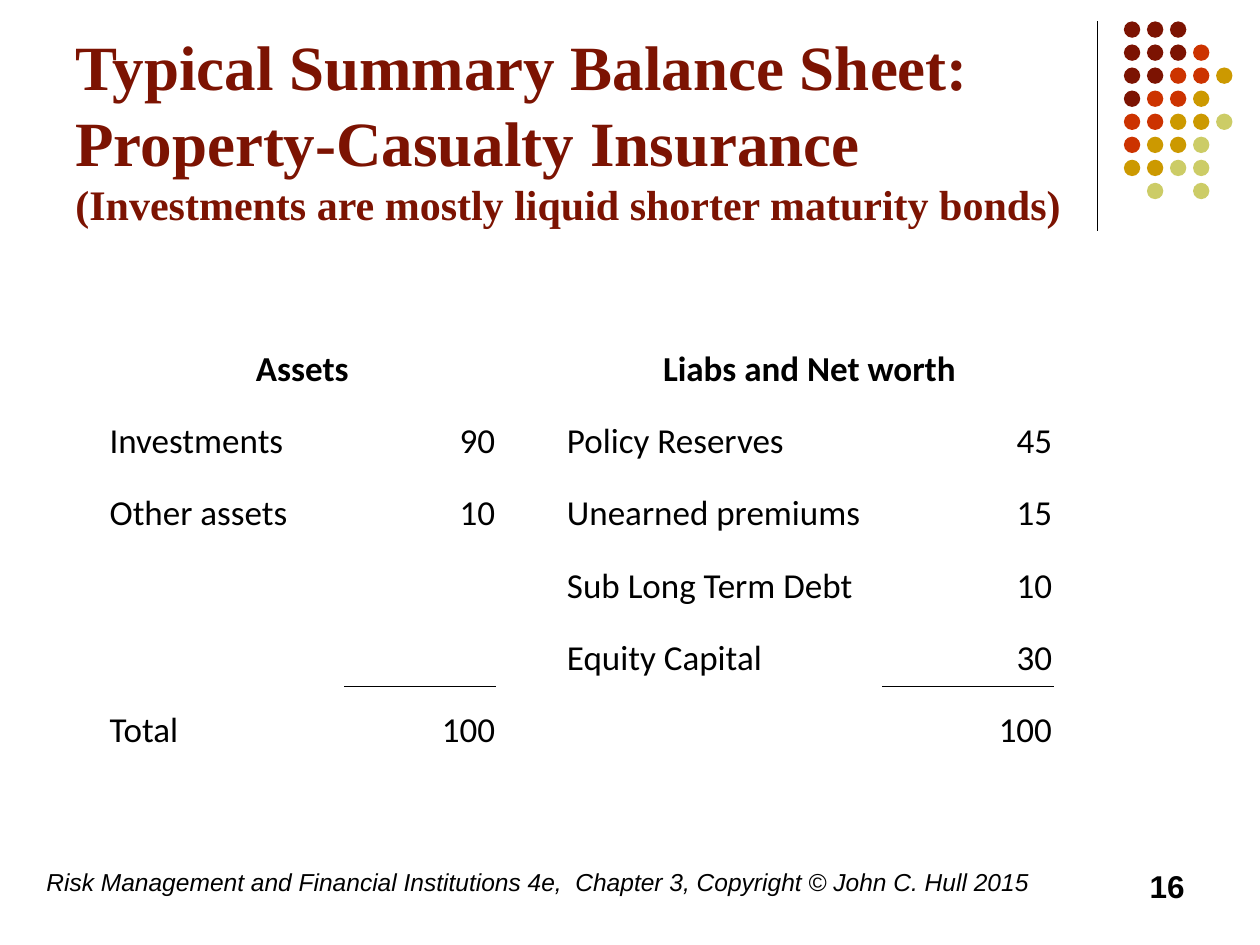
from lxml import etree
from pptx import Presentation
from pptx.dml.color import RGBColor
from pptx.enum.shapes import MSO_CONNECTOR, MSO_SHAPE
from pptx.enum.text import MSO_ANCHOR as Anchor, PP_ALIGN as Align
from pptx.oxml import parse_xml
from pptx.oxml.ns import nsdecls, qn
from pptx.util import Inches, Pt

BLACK = RGBColor(0x00, 0x00, 0x00)
MAROON = RGBColor(0x7C, 0x13, 0x02)
RED = RGBColor(0xCC, 0x33, 0x00)
GOLD = RGBColor(0xCC, 0x99, 0x00)
OLIVE = RGBColor(0xCC, 0xCC, 0x66)


def add_run(para, text, font, size, color=BLACK, bold=False, italic=False):
    run = para.add_run()
    run.text = text
    run.font.name = font
    run.font.size = Pt(size)
    run.font.color.rgb = color
    run.font.bold = bold
    run.font.italic = italic


def add_box(left, top, width, height):
    """Add a wrapping text box and return its text frame."""
    box = slide.shapes.add_textbox(
        Inches(left), Inches(top), Inches(width), Inches(height))
    box.text_frame.word_wrap = True
    return box.text_frame


prs = Presentation()
prs.slide_width = Inches(10)
prs.slide_height = Inches(7.5)
slide = prs.slides.add_slide(prs.slide_layouts[6])

# Corner rule and dots
rule = slide.shapes.add_connector(
    MSO_CONNECTOR.STRAIGHT, Inches(8.71), Inches(0.17), Inches(8.71), Inches(1.83))
rule.line.color.rgb = BLACK
rule.line.width = Pt(0.75)
etree.SubElement(rule.element.spPr, qn("a:effectLst"))

hues = {"M": MAROON, "R": RED, "G": GOLD, "O": OLIVE}
dots = ["MMM", "MMMR", "MMRRG", "MRRG", "RRGGO", "RGGO", "GGOO", " O O"]
for row, line in enumerate(dots):
    for col, key in enumerate(line):
        if key in hues:
            dot = slide.shapes.add_shape(
                MSO_SHAPE.OVAL, Inches(8.92 + 0.183 * col),
                Inches(0.17 + 0.183 * row), Inches(0.13), Inches(0.13))
            dot.shadow.inherit = False
            dot.fill.solid()
            dot.fill.fore_color.rgb = hues[key]
            dot.line.fill.background()

# Title
title = add_box(0.5, 0.13, 8.25, 1.74)
title.vertical_anchor = Anchor.BOTTOM
para = title.paragraphs[0]
add_run(para, "Typical Summary Balance Sheet: Property-Casualty Insurance ",
        "Times New Roman", 36, MAROON, bold=True)
add_run(para, "(Investments are mostly liquid shorter maturity bonds)",
        "Times New Roman", 24, MAROON, bold=True)

# Footer and page number
para = add_box(0.27, 6.83, 8.27, 0.5).paragraphs[0]
add_run(para, "Risk Management and Financial Institutions 4e,  Chapter 3, "
        "Copyright © John C. Hull 2015", "Arial", 14, italic=True)
para = add_box(7.17, 6.83, 2.33, 0.5).paragraphs[0]
para.alignment = Align.RIGHT
add_run(para, "16", "Arial", 18, bold=True)

# Balance sheet
sheet = [
    ["Assets", "", "", "Liabs and Net worth", ""],
    ["Investments", "90", "", "Policy Reserves", "45"],
    ["Other assets", "10", "", "Unearned premiums", "15"],
    ["", "", "", "Sub Long Term Debt", "10"],
    ["", "", "", "Equity Capital", "30"],
    ["Total", "100", "", "", "100"],
]
widths = [1.88, 1.2, 0.55, 2.52, 1.35]
amounts = (1, 4)
edges = {4: "lnB", 5: "lnT"}  # the total line lies between these rows

table = slide.shapes.add_table(
    len(sheet), len(widths), Inches(0.86), Inches(2.58),
    Inches(7.5), Inches(3.44)).table
table.first_row = False
table.horz_banding = False
for col, width in enumerate(widths):
    table.columns[col].width = Inches(width)

for row, line in enumerate(sheet):
    for col, text in enumerate(line):
        cell = table.cell(row, col)
        cell.margin_left = cell.margin_right = Inches(0.01)
        cell.vertical_anchor = Anchor.BOTTOM
        if row in edges and col in amounts:
            edge = edges[row]
            cell._tc.get_or_add_tcPr().append(parse_xml(
                f'<a:{edge} {nsdecls("a")} w="{Pt(0.23)}"><a:solidFill>'
                f'<a:srgbClr val="{BLACK}"/></a:solidFill></a:{edge}>'))
        cell.fill.background()
        if text:
            para = cell.text_frame.paragraphs[0]
            if row == 0:
                para.alignment = Align.CENTER
            elif col in amounts:
                para.alignment = Align.RIGHT
            add_run(para, text, "Calibri", 20, bold=row == 0)

for col in (0, 3):
    table.cell(0, col).merge(table.cell(0, col + 1))

prs.save("out.pptx")
